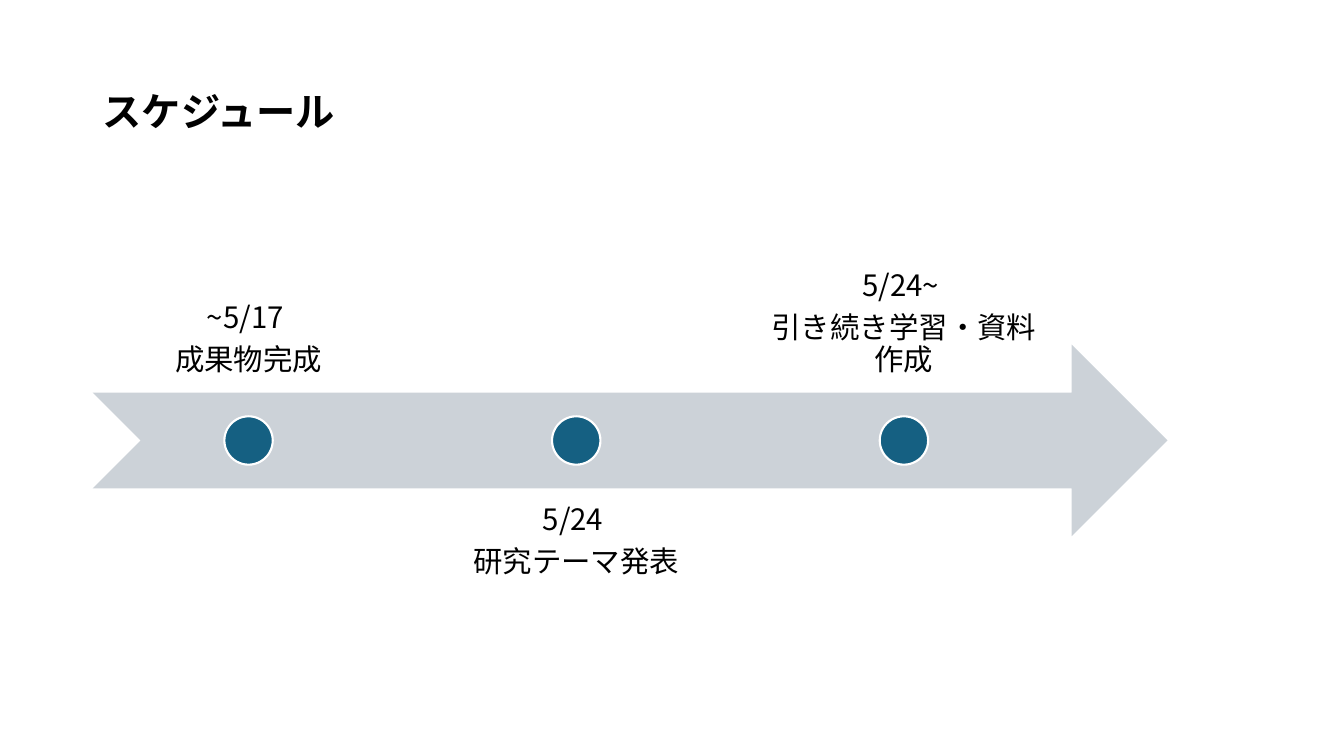
import dataclasses

import lxml.etree
import pptx
import pptx.dml.color
import pptx.enum.shapes
import pptx.enum.text
import pptx.oxml.ns
import pptx.util

Inches = pptx.util.Inches
Pt = pptx.util.Pt
SHAPE = pptx.enum.shapes.MSO_SHAPE
ANCHOR = pptx.enum.text.MSO_ANCHOR
ALIGN = pptx.enum.text.PP_ALIGN


@dataclasses.dataclass(frozen=True)
class Theme:
    text: str = "000000"
    arrow: str = "CCD2D8"
    dot: str = "156082"
    outline: str = "FFFFFF"
    title_font: str = "Arial"
    body_font: str = "Noto Sans CJK JP"
    title_size: int = 28
    body_size: int = 21
    outline_width: float = 1.5


def rgb(value):
    return pptx.dml.color.RGBColor.from_string(value)


def set_all(target, values):
    for name, value in values.items():
        setattr(target, name, value)


class SlideBuilder:
    def __init__(self, prs, theme):
        self.theme = theme
        self.s = prs.slides.add_slide(prs.slide_layouts[5])

    def fill_paragraph(self, p, text, align, font, size, bold=False, space_after=0):
        set_all(p, {"alignment": align, "line_spacing": 0.9,
                    "space_after": Pt(space_after), "space_before": Pt(0)})
        r = p.add_run()
        r.text = text
        set_all(r.font, {"name": font, "size": Pt(size), "bold": bold})
        r.font.color.rgb = rgb(self.theme.text)
        ea = lxml.etree.SubElement(r.font._element, pptx.oxml.ns.qn("a:ea"))
        ea.set("typeface", self.theme.body_font)

    def title(self, text, left, top, width, height):
        sp = self.s.shapes.title
        set_all(sp, {"left": Inches(left), "top": Inches(top),
                     "width": Inches(width), "height": Inches(height)})
        tf = sp.text_frame
        set_all(tf, {"vertical_anchor": ANCHOR.MIDDLE, "word_wrap": True,
                     "auto_size": pptx.enum.text.MSO_AUTO_SIZE.NONE})
        self.fill_paragraph(tf.paragraphs[0], text, ALIGN.LEFT, self.theme.title_font,
                            self.theme.title_size, bold=True)

    def shape(self, kind, left, top, width, height, fill, line=None):
        sp = self.s.shapes.add_shape(
            kind, Inches(left), Inches(top), Inches(width), Inches(height))
        sp.shadow.inherit = False
        sp.fill.solid()
        sp.fill.fore_color.rgb = rgb(fill)
        if line:
            sp.line.color.rgb = rgb(line)
            sp.line.width = Pt(self.theme.outline_width)
        else:
            sp.line.fill.background()

    def label(self, lines, left, top, width, height, anchor):
        sp = self.s.shapes.add_textbox(
            Inches(left), Inches(top), Inches(width), Inches(height))
        tf = sp.text_frame
        set_all(tf, {"word_wrap": True, "vertical_anchor": anchor})
        set_all(tf, {f"margin_{side}": Inches(0.16)
                     for side in ("left", "right", "top", "bottom")})
        for i, text in enumerate(lines):
            p = tf.add_paragraph() if i else tf.paragraphs[0]
            self.fill_paragraph(p, text, ALIGN.CENTER, self.theme.body_font,
                                self.theme.body_size, space_after=7.35)


def main():
    prs = pptx.Presentation()
    set_all(prs, {"slide_width": Inches(13.33), "slide_height": Inches(7.5)})
    theme = Theme()
    slide = SlideBuilder(prs, theme)

    left, band = 0.92, 1.9
    slide.title("スケジュール", left, 0.4, 11.5, 1.45)
    arrow_top = 3.42
    slide.shape(SHAPE.NOTCHED_RIGHT_ARROW, left, arrow_top, 10.66, band, theme.arrow)

    milestones = [
        ("~5/17 ", "成果物完成"),
        ("5/24 ", "研究テーマ発表"),
        ("5/24~ ", "引き続き学習・資料作成"),
    ]
    label_width, pitch, dot = 3.09, 3.25, 0.48
    for i, lines in enumerate(milestones):
        x = left + i * pitch
        # Labels alternate above and below the arrow
        top, anchor = (4.85, ANCHOR.TOP) if i % 2 else (2, ANCHOR.BOTTOM)
        slide.label(lines, x, top, label_width, band, anchor)
        slide.shape(SHAPE.OVAL, x + (label_width - dot) / 2,
                    arrow_top + (band - dot) / 2, dot, dot, theme.dot, theme.outline)

    prs.save("out.pptx")


if __name__ == "__main__":
    main()
